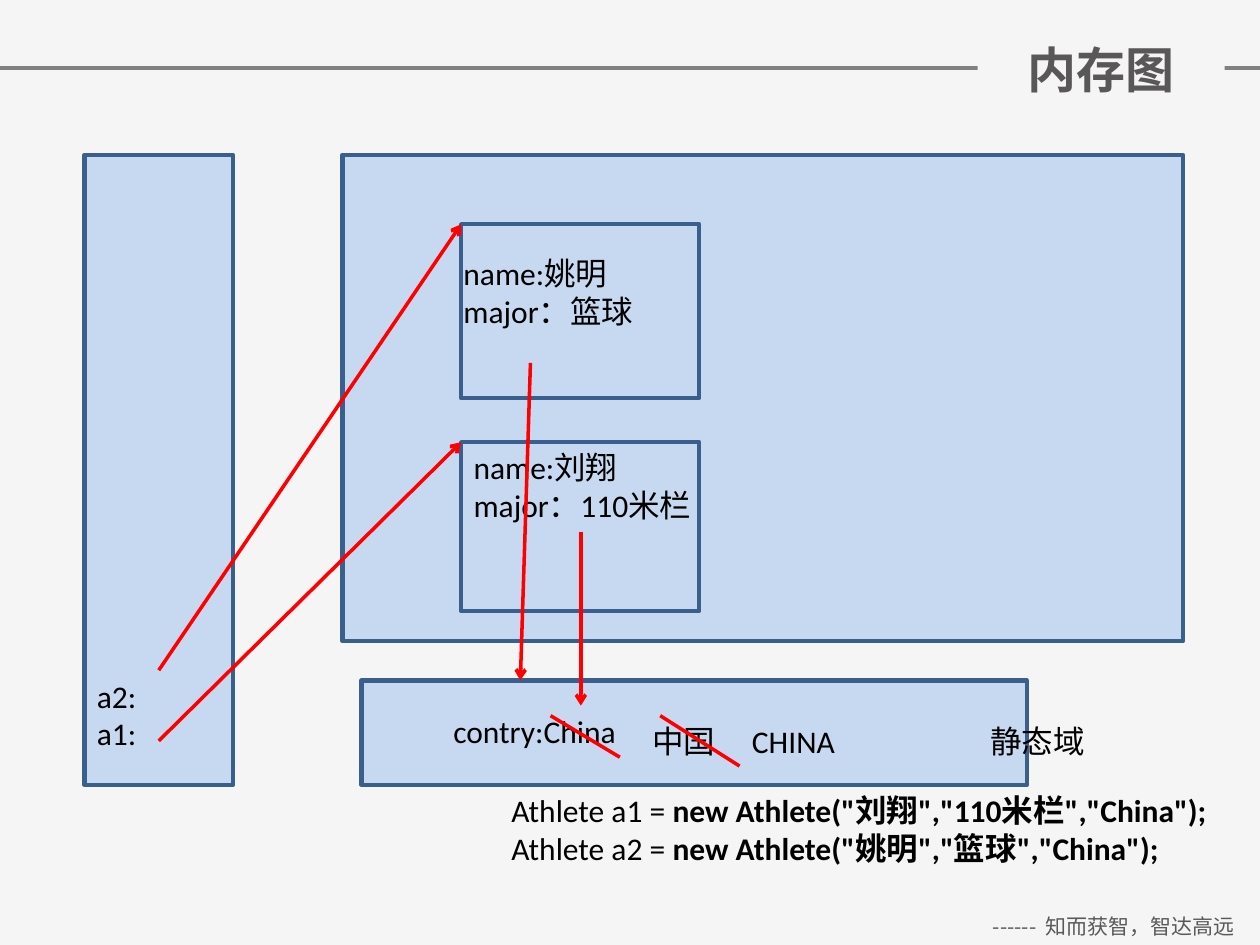
from lxml import etree
from pptx import Presentation
from pptx.dml.color import RGBColor
from pptx.enum.shapes import MSO_CONNECTOR as Connector, MSO_SHAPE as Shape
from pptx.enum.text import MSO_ANCHOR as Anchor, MSO_AUTO_SIZE as AutoSize, PP_ALIGN as Align
from pptx.oxml.ns import qn
from pptx.util import Inches, Pt

PAPER = RGBColor(0xF5, 0xF5, 0xF5)
BLUE_FILL = RGBColor(0xC6, 0xD9, 0xF1)
BLUE_EDGE = RGBColor(0x3A, 0x5F, 0x8C)
RED = RGBColor(0xFF, 0x00, 0x00)
GRAY = RGBColor(0x80, 0x80, 0x80)
FOOTER_GRAY = RGBColor(0x59, 0x59, 0x59)
TITLE_GRAY = RGBColor(0x59, 0x57, 0x58)
BLACK = RGBColor(0x00, 0x00, 0x00)
CHINESE_FONT = "Noto Sans CJK SC"

BODY = {"name": "Calibri", "size": Pt(18), "color": BLACK}
FOOTER = {"name": CHINESE_FONT, "size": Pt(12), "color": FOOTER_GRAY}
HEADING = {"name": CHINESE_FONT, "size": Pt(28), "color": TITLE_GRAY, "bold": True}

TITLE = "内存图"
TITLE_BOX = (7.76, 0.26, 1.96, 0.57)
FOOTER_TEXT = "------  知而获智，智达高远"
FOOTER_BOX = (7.68, 7.2, 2.32, 0.3)
HEADER_RULE = ((0, 0.54), (10, 0.54))

STACK = (0.67, 1.23, 1.18, 5)
HEAP = (2.72, 1.23, 6.67, 3.86)
OBJECT_A1 = (3.66, 3.51, 1.89, 1.34)
OBJECT_A2 = (3.66, 1.78, 1.89, 1.38)
STATIC_AREA = (2.87, 5.4, 5.28, 0.83)
BOXES = [STACK, HEAP, OBJECT_A1, OBJECT_A2, STATIC_AREA]

LABELS = [
    ((0.67, 5.32, 1.18, 0.71), ["a2:", "a1:"]),
    ((3.66, 3.51, 2.05, 0.71), ["name:刘翔", "major：110米栏"]),
    ((3.58, 1.97, 2.05, 0.71), ["name:姚明", "major：篮球"]),
    ((7.76, 5.68, 1.63, 0.4), ["静态域"]),
    ((3.5, 5.6, 2.36, 0.4), ["contry:China"]),
    ((5.08, 5.68, 0.97, 0.4), ["中国"]),
    ((5.87, 5.68, 0.87, 0.4), ["CHINA"]),
]
CODE_BOX = (3.96, 6.23, 6.04, 0.71)
CODE = [
    ("Athlete a1 = ", 'new Athlete("刘翔","110米栏","China");'),
    ("Athlete a2 = ", 'new Athlete("姚明","篮球","China");'),
]
POINTERS = [
    ((1.26, 5.88), OBJECT_A1[:2]),
    ((1.26, 5.32), OBJECT_A2[:2]),
    ((4.21, 2.88), (4.13, 5.4)),
    ((4.61, 4.22), (4.61, 5.6)),
]
STRIKES = [((4.37, 5.68), (4.92, 6.01)), ((5.24, 5.68), (5.87, 6.08))]


def inches(values):
    return [Inches(value) for value in values]


def add_run(paragraph, text, style):
    run = paragraph.add_run()
    run.text = text
    for key, value in style.items():
        if key == "color":
            run.font.color.rgb = value
        else:
            setattr(run.font, key, value)
    properties = run.font._element
    etree.SubElement(properties, qn("a:ea"), typeface=CHINESE_FONT)


def add_text(slide, box, lines, style, align=Align.LEFT):
    frame = slide.shapes.add_textbox(*inches(box)).text_frame
    frame.word_wrap = True
    frame.auto_size = AutoSize.SHAPE_TO_FIT_TEXT
    for index, line in enumerate(lines):
        paragraph = frame.add_paragraph() if index else frame.paragraphs[0]
        paragraph.alignment = align
        parts = (line,) if isinstance(line, str) else line
        for position, part in enumerate(parts):
            add_run(paragraph, part, {**style, "bold": position > 0})


def add_box(slide, box):
    shape = slide.shapes.add_shape(Shape.RECTANGLE, *inches(box))
    shape.shadow.inherit = False
    shape.fill.solid()
    shape.fill.fore_color.rgb = BLUE_FILL
    shape.line.color.rgb = BLUE_EDGE
    shape.line.width = Pt(2.5)


def add_line(slide, start, end, color, arrow=False):
    line = slide.shapes.add_connector(Connector.STRAIGHT, *inches(start + end))
    line.line.color.rgb = color
    line.line.width = Pt(2)
    if arrow:
        etree.SubElement(line.line._get_or_add_ln(), qn("a:tailEnd"), type="arrow")
    etree.SubElement(line._element.spPr, qn("a:effectLst"))


def place_title(slide):
    title = slide.shapes.title
    title.left, title.top, title.width, title.height = inches(TITLE_BOX)
    title.fill.solid()
    title.fill.fore_color.rgb = PAPER
    frame = title.text_frame
    frame.vertical_anchor = Anchor.MIDDLE
    frame.paragraphs[0].alignment = Align.CENTER
    add_run(frame.paragraphs[0], TITLE, HEADING)
    slide.shapes._spTree.append(title._element)


def main():
    presentation = Presentation()
    presentation.slide_width, presentation.slide_height = Inches(10), Inches(7.5)
    slide = presentation.slides.add_slide(presentation.slide_layouts[5])
    slide.background.fill.solid()
    slide.background.fill.fore_color.rgb = PAPER

    add_line(slide, *HEADER_RULE, GRAY)
    add_text(slide, FOOTER_BOX, [FOOTER_TEXT], FOOTER, Align.CENTER)
    add_text(slide, CODE_BOX, CODE, BODY)
    for box in BOXES:
        add_box(slide, box)
    for box, lines in LABELS:
        add_text(slide, box, lines, BODY)
    for start, end in POINTERS:
        add_line(slide, start, end, RED, arrow=True)
    for start, end in STRIKES:
        add_line(slide, start, end, RED)
    place_title(slide)
    presentation.save("out.pptx")


if __name__ == "__main__":
    main()
